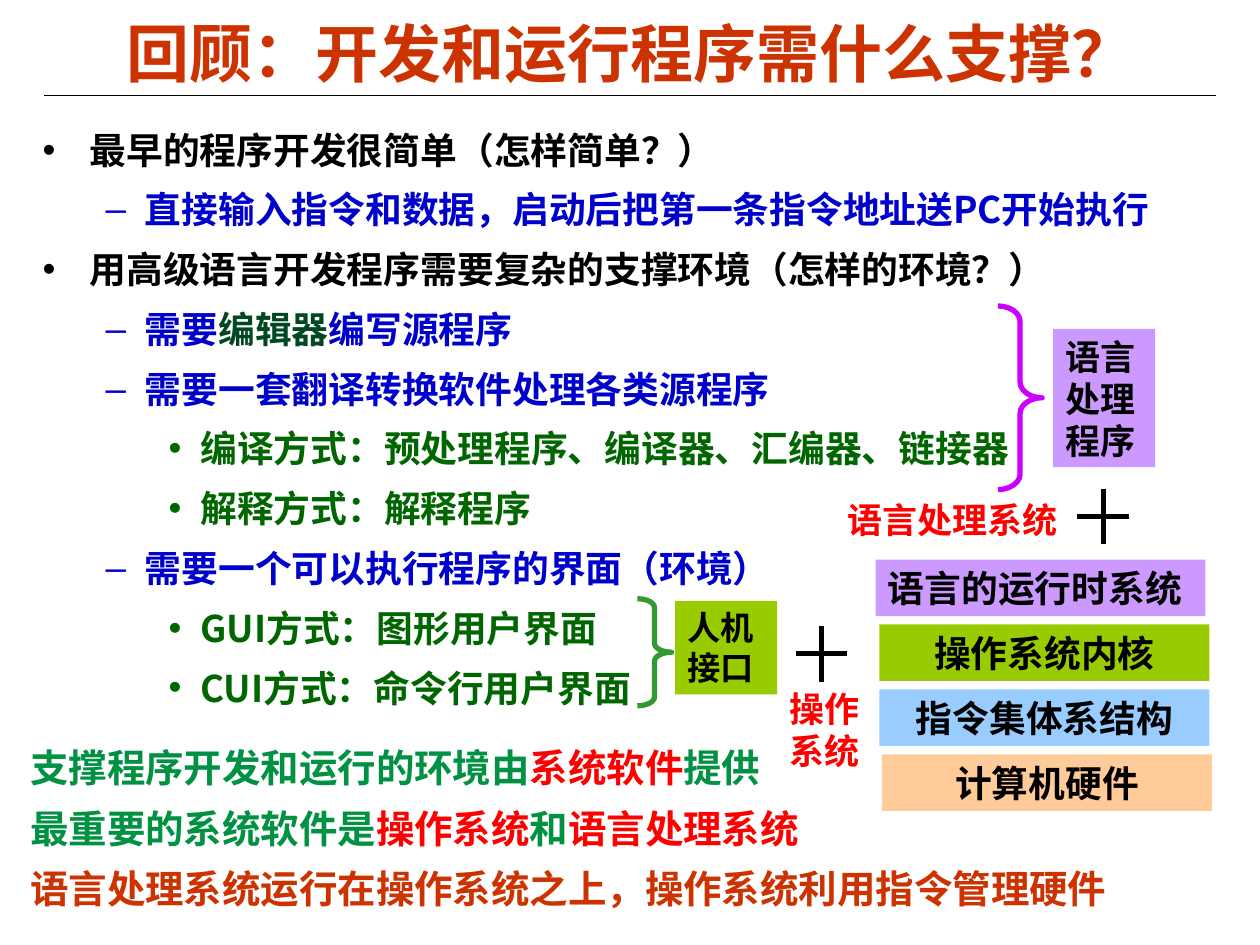
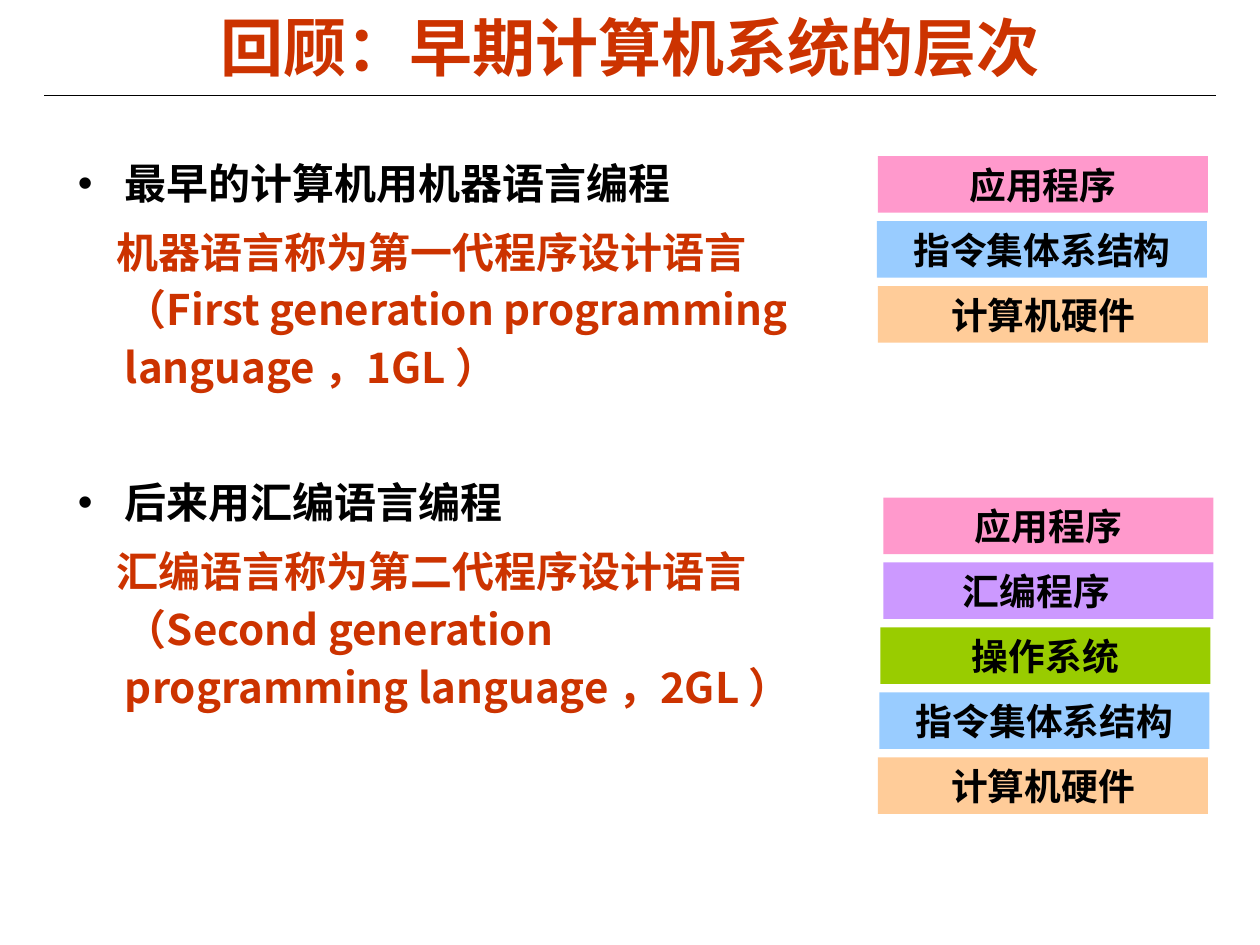
import pptx
import pptx.dml.color
import pptx.enum.shapes
import pptx.enum.text
import pptx.oxml
import pptx.oxml.ns
import pptx.util
from pptx.util import Cm

LATIN, CJK = "Arial", "Noto Sans CJK SC"
BLACK, BLUE, GREEN, DARK_GREEN = "000000", "0000CC", "006600", "004821"
RUST, RED, JADE = "CC3300", "FF0000", "009242"
VIOLET, LIME, SKY, PEACH, PINK = "CC99FF", "99CC00", "99CCFF", "FFCC99", "FF99CC"
PURPLE, LEAF = "CC00FF", "339933"

LEVELS = [
    dict(bullet="•", color=BLACK, margin=0.95, indent=-0.95),
    dict(bullet="–", color=BLUE, margin=2.06, indent=-0.79),
    dict(bullet="•", color=GREEN, margin=3.18, indent=-0.64),
]
LAYER_SIZE = (6.65, 1.14)
LAYER_PITCH = 1.31

SUPPORT_TITLE = "回顾：开发和运行程序需什么支撑？"
SUPPORT_OUTLINE = [
    (0, "最早的程序开发很简单（怎样简单？）"),
    (1, "直接输入指令和数据，启动后把第一条指令地址送PC开始执行"),
    (0, "用高级语言开发程序需要复杂的支撑环境（怎样的环境？）"),
    (1, [("需要", BLUE), ("编辑器", DARK_GREEN), ("编写源程序", BLUE)]),
    (1, "需要一套翻译转换软件处理各类源程序"),
    (2, "编译方式：预处理程序、编译器、汇编器、链接器"),
    (2, "解释方式：解释程序"),
    (1, "需要一个可以执行程序的界面（环境）"),
    (2, "GUI方式：图形用户界面"),
    (2, "CUI方式：命令行用户界面"),
]
SUPPORT_SUMMARY = [
    [("支撑程序开发和运行的环境由", JADE), ("系统软件", RED), ("提供", JADE)],
    [("最重要的系统软件是", JADE), ("操作系统", RED), ("和", JADE), ("语言处理系统", RED)],
    [("语言处理系统运行在操作系统之上，操作系统利用指令管理硬件", RUST)],
]
BRACES = [
    ((20.12, 6.17, 0.89, 3.7), 0.35, PURPLE),
    ((12.85, 12.07, 0.69, 2.16), 0.26, LEAF),
]
LABELS = [
    ("语言处理程序", (21.23, 6.63, 2.06, 2.79), 20, BLACK, VIOLET),
    ("人机接口", (13.61, 12.12, 2.06, 1.88), 19, BLACK, LIME),
    ("操作系统", (15.67, 13.74, 2.21, 1.96), 20, RED, None),
    ("语言处理系统", (16.84, 9.93, 5.18, 1.12), 20, RED, None),
]
PLUS_CENTRES = [(16.56, 13.18), (22.24, 10.41)]
PLUS_WIDTH, PLUS_HEIGHT = 1.04, 1.12
SUPPORT_STACK = [
    ("语言的运行时系统", VIOLET, 17.65, 0),
    ("操作系统内核", LIME, 17.73, None),
    ("指令集体系结构", SKY, 17.73, None),
    ("计算机硬件", PEACH, 17.78, None),
]

LAYERS_TITLE = "回顾：早期计算机系统的层次"
GENERATIONS = [
    ("最早的计算机用机器语言编程",
     "机器语言称为第一代程序设计语言（First generation programming language ，1GL ）"),
    ("后来用汇编语言编程",
     "汇编语言称为第二代程序设计语言（Second generation programming language ，2GL ）"),
]
MACHINE_STACK = [
    ("应用程序", PINK, 17.7, None),
    ("指令集体系结构", SKY, 17.68, None),
    ("计算机硬件", PEACH, 17.7, None),
]
ASSEMBLY_STACK = [
    ("应用程序", PINK, 17.81, None),
    ("汇编程序", VIOLET, 17.81, 1.35),
    ("操作系统", LIME, 17.75, None),
    ("指令集体系结构", SKY, 17.73, None),
    ("计算机硬件", PEACH, 17.7, None),
]


def rgb(color):
    return pptx.dml.color.RGBColor.from_string(color)


def cms(values):
    return [Cm(v) for v in values]


def sub(parent, tag, **attributes):
    element = pptx.oxml.parse_xml(f"<{tag} {pptx.oxml.ns.nsdecls('a')}/>")
    for name, value in attributes.items():
        element.set(name, value)
    parent.append(element)
    return element


def write(p, runs, size, font=LATIN, center=False, before=0, spacing=None,
          margin=0, indent=0, bullet=None):
    if center:
        p.alignment = pptx.enum.text.PP_ALIGN.CENTER
    p.space_before = pptx.util.Pt(before)
    if spacing:
        p.line_spacing = spacing
    pPr = p._p.get_or_add_pPr()
    pPr.set("marL", str(Cm(margin)))
    pPr.set("indent", str(Cm(indent)))
    if bullet:
        sub(sub(pPr, "a:buClr"), "a:srgbClr", val=runs[0][1])
        sub(pPr, "a:buFont", typeface=LATIN)
        sub(pPr, "a:buChar", char=bullet)
    else:
        sub(pPr, "a:buNone")
    p.font.size = pptx.util.Pt(size)
    p.font.bold = True
    p.font.name = font
    sub(pPr.find(pptx.oxml.ns.qn("a:defRPr")), "a:ea", typeface=CJK)
    for text, color in runs:
        r = p.add_run()
        r.text = text
        r.font.color.rgb = rgb(color)


def next_paragraph(tf):
    return tf.add_paragraph() if tf.paragraphs[0].runs else tf.paragraphs[0]


def add_text(s, box):
    tf = s.shapes.add_textbox(*cms(box)).text_frame
    tf.word_wrap = True
    return tf


def add_panel(s, box, fill):
    sp = s.shapes.add_shape(pptx.enum.shapes.MSO_SHAPE.RECTANGLE, *cms(box))
    sp.shadow.inherit = False
    sp.fill.solid()
    sp.fill.fore_color.rgb = rgb(fill)
    sp.line.fill.background()
    tf = sp.text_frame
    tf.word_wrap = True
    tf.vertical_anchor = pptx.enum.text.MSO_ANCHOR.TOP
    tf.paragraphs[0].alignment = pptx.enum.text.PP_ALIGN.LEFT
    return tf


def add_line(s, ends, width):
    line = s.shapes.add_connector(pptx.enum.shapes.MSO_CONNECTOR.STRAIGHT, *cms(ends))
    line.line.color.rgb = rgb(BLACK)
    line.line.width = pptx.util.Pt(width)
    sub(line._element.spPr, "a:effectLst")


def add_plus(s, x, y):
    add_line(s, (x - PLUS_WIDTH / 2, y, x + PLUS_WIDTH / 2, y), 3)
    add_line(s, (x, y - PLUS_HEIGHT / 2, x, y + PLUS_HEIGHT / 2), 3)


def add_brace(s, box, curl, color):
    sp = s.shapes.add_shape(pptx.enum.shapes.MSO_SHAPE.RIGHT_BRACE, *cms(box))
    sp.shadow.inherit = False
    sp.adjustments[0] = curl
    sp.fill.background()
    sp.line.color.rgb = rgb(color)
    sp.line.width = pptx.util.Pt(3)


def add_stack(s, layers, top):
    for i, (text, fill, left, margin) in enumerate(layers):
        tf = add_panel(s, (left, top + i * LAYER_PITCH, *LAYER_SIZE), fill)
        write(tf.paragraphs[0], [(text, BLACK)], 21, center=margin is None,
              margin=margin or 0)


def add_slide(prs, title, top):
    s = prs.slides.add_slide(prs.slide_layouts[5])
    add_line(s, (0.89, 1.93, 24.51, 1.93), 0.75)
    sp = s.shapes.title
    sp.left, sp.top, sp.width, sp.height = cms((1.27, top, 22.86, 1.55))
    tf = sp.text_frame
    tf.auto_size = pptx.enum.text.MSO_AUTO_SIZE.NONE
    tf.vertical_anchor = pptx.enum.text.MSO_ANCHOR.MIDDLE
    write(tf.paragraphs[0], [(title, RUST)], 36, center=True)
    return s


def build_support(prs):
    s = add_slide(prs, SUPPORT_TITLE, 0.28)
    tf = add_text(s, (0.61, 2.31, 23.7, 14.5))
    for i, (level, content) in enumerate(SUPPORT_OUTLINE):
        style = dict(LEVELS[level])
        color = style.pop("color")
        runs = [(content, color)] if isinstance(content, str) else content
        p = next_paragraph(tf)
        p.level = level
        write(p, runs, 21, CJK, before=5.2 if i else 0, spacing=1.15, **style)

    tf = add_text(s, (0.36, 14.88, 24.16, 3.63))
    for i, runs in enumerate(SUPPORT_SUMMARY):
        write(next_paragraph(tf), runs, 22, before=8.2 if i else 0)

    for brace in BRACES:
        add_brace(s, *brace)
    add_stack(s, SUPPORT_STACK, 11.28)
    for text, box, size, color, fill in LABELS:
        tf = add_panel(s, box, fill) if fill else add_text(s, box)
        write(tf.paragraphs[0], [(text, color)], size)
    for centre in PLUS_CENTRES:
        add_plus(s, *centre)


def build_layers(prs):
    s = add_slide(prs, LAYERS_TITLE, 0.15)
    tf = add_text(s, (1.32, 2.9, 15.65, 14.45))
    for i, (heading, detail) in enumerate(GENERATIONS):
        write(next_paragraph(tf), [(heading, BLACK)], 24, CJK, before=44 if i else 0,
              spacing=1.15, margin=0.95, indent=-0.95, bullet="•")
        write(next_paragraph(tf), [(detail, RUST)], 24, CJK, before=6,
              spacing=1.15, margin=0.95, indent=-0.18)
    add_stack(s, MACHINE_STACK, 3.15)
    add_stack(s, ASSEMBLY_STACK, 10.03)


def main():
    prs = pptx.Presentation()
    prs.slide_width, prs.slide_height = Cm(25.4), Cm(19.05)
    build_support(prs)
    build_layers(prs)
    prs.save("out.pptx")


if __name__ == "__main__":
    main()
